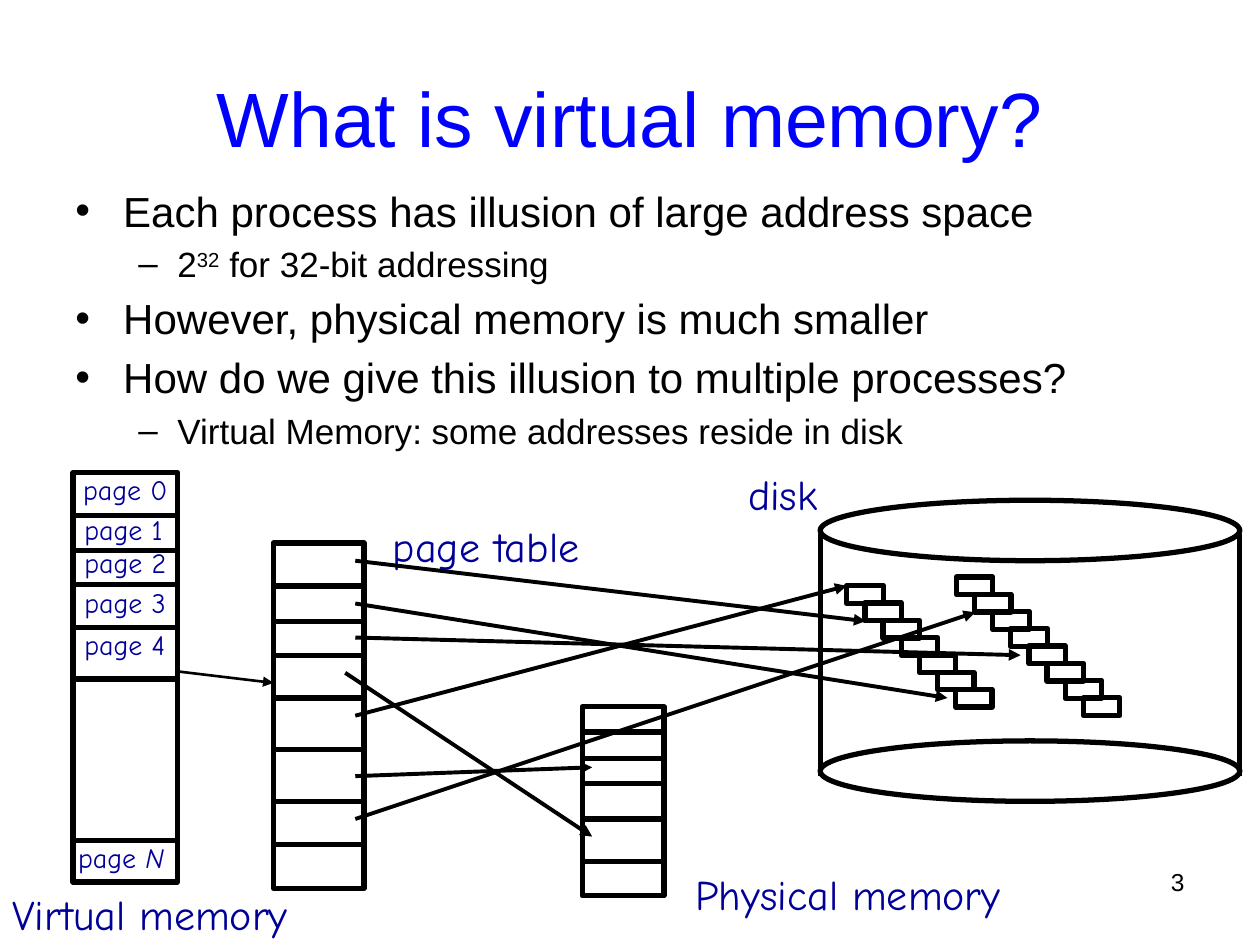
"""Build the slide explaining virtual memory, page table, physical memory and disk."""
from lxml import etree
from pptx import Presentation
from pptx import util as u
from pptx.dml.color import RGBColor
from pptx.enum import shapes, text
from pptx.oxml.ns import qn

HUE = {"ink": "000000", "title": "0000FF", "label": "000099"}

BODY = [
    (0, [("Each process has illusion of large address space", {})]),
    (1, [("2", {}), ("32", {"baseline": "30000"}), (" for 32-bit addressing", {})]),
    (0, [("However, physical memory is much smaller", {})]),
    (0, [("How do we give this illusion to multiple processes?", {})]),
    (1, [("Virtual Memory: some addresses reside in disk", {})]),
]
LEVELS = [
    {"size": 24, "bullet": "•", "left": 0.38, "hang": 0.38},
    {"size": 20, "bullet": "–", "left": 0.81, "hang": 0.31},
]
STACKS = [
    ((4.62, 5.61, 0.65, 1.5), [5.81, 6.02, 6.22, 6.5, 6.84]),
    ((2.17, 4.31, 0.72, 2.74), [4.65, 4.93, 5.2, 5.54, 5.95, 6.36, 6.7]),
    ((0.58, 3.75, 0.83, 3.25), [4.09, 4.37, 4.64, 4.98, 5.39, 6.67]),
]
DISK = {"left": 6.51, "width": 3.33, "tops": (3.97, 5.88), "cap": 0.48}
STAIRS = [(6.72, 4.65, 7), (7.59, 4.58, 8)]
BLOCK = (0.29, 0.14)
STEP = (0.144, 0.137)
LABELS = [
    ("page table", (3.02, 4.08, 1.81, 0.5)),
    ("Physical memory", (5.42, 6.84, 2.74, 0.5)),
    ("disk", (5.84, 3.67, 0.83, 0.5)),
    ("Virtual memory", (0, 7, 2.57, 0.5)),
]
PAGES = [("0", 0.66, 3.75), ("1", 0.67, 4.07), ("2", 0.67, 4.33),
         ("3", 0.67, 4.65), ("4", 0.67, 4.98), ("N", 0.62, 6.67)]
PAGE = (0.75, 0.27)
ARROWS = [
    ((2.74, 5.34), (4.7, 6.64), 2.25),
    ((2.82, 5.68), (6.72, 4.65), 2.25),
    ((2.82, 6.5), (7.74, 4.86), 2.25),
    ((2.82, 6.16), (4.7, 6.09), 2.25),
    ((2.82, 4.79), (7.52, 5.54), 2.25),
    ((2.82, 5.06), (8.1, 5.2), 2.25),
    ((2.82, 4.45), (6.87, 4.93), 2.25),
    ((1.42, 5.33), (2.17, 5.42), 1.5),
]

deck = Presentation()
deck.slide_width, deck.slide_height = u.Inches(10), u.Inches(7.5)
slide = deck.slides.add_slide(deck.slide_layouts[6])


def color(name):
    return RGBColor.from_string(HUE[name])


def fill_para(para, runs, size=24, font="Arial", hue="ink", align="LEFT",
              bullet=None, left=0, hang=0):
    para.alignment = getattr(text.PP_ALIGN, align)
    if bullet:
        props = para._p.get_or_add_pPr()
        props.set("marL", str(u.Inches(left)))
        props.set("indent", str(-u.Inches(hang)))
        space = etree.SubElement(props, qn("a:spcBef"))
        etree.SubElement(space, qn("a:spcPct"), val="20000")
        etree.SubElement(props, qn("a:buFont"), typeface="Arial")
        etree.SubElement(props, qn("a:buChar"), char=bullet)
    for words, extra in runs:
        run = para.add_run()
        run.text = words
        run.font.size, run.font.name = u.Pt(size), font
        run.font.color.rgb = color(hue)
        for key, val in extra.items():
            run.font._element.set(key, val)


def add_text(runs, at, wrap=True, inset=True, anchor="TOP", **style):
    frame = slide.shapes.add_textbox(*map(u.Inches, at)).text_frame
    frame.word_wrap = wrap
    frame.vertical_anchor = getattr(text.MSO_ANCHOR, anchor)
    if not inset:
        frame.margin_left = frame.margin_right = 0
        frame.margin_top = frame.margin_bottom = 0
    if isinstance(runs, str):
        runs = [(runs, {})]
    fill_para(frame.paragraphs[0], runs, **style)


def add_box(at, kind="RECTANGLE"):
    box = slide.shapes.add_shape(getattr(shapes.MSO_SHAPE, kind), *map(u.Inches, at))
    box.shadow.inherit = False
    box.fill.background()
    box.line.color.rgb = color("ink")
    box.line.width = u.Pt(3)


def add_line(start, end, width=3, head=False):
    line = slide.shapes.add_connector(
        shapes.MSO_CONNECTOR.STRAIGHT, *map(u.Inches, start + end))
    line.line.color.rgb = color("ink")
    line.line.width = u.Pt(width)
    if head:
        etree.SubElement(line.line._get_or_add_ln(), qn("a:tailEnd"), type="triangle")
    etree.SubElement(line._element.spPr, qn("a:effectLst"))


def add_body():
    frame = slide.shapes.add_textbox(*map(u.Inches, (0.5, 1.42, 9, 4.95))).text_frame
    frame.word_wrap = True
    for num, (level, runs) in enumerate(BODY):
        para = frame.add_paragraph() if num else frame.paragraphs[0]
        para.level = level
        fill_para(para, runs, **LEVELS[level])


def add_disk():
    left, width, cap = DISK["left"], DISK["width"], DISK["cap"]
    for top in DISK["tops"]:
        add_box((left, top, width, cap), "OVAL")
    for side in (left, left + width):
        add_line((side, 4.24), (side, 6.16))
    for x, y, count in STAIRS:
        for num in range(count):
            add_box((x + num * STEP[0], y + num * STEP[1]) + BLOCK)


def main():
    add_text("3", (7.17, 6.83, 2.33, 0.52), size=14, align="RIGHT")
    add_text("What is virtual memory?", (0.5, 0.3, 9, 1.25), anchor="MIDDLE",
             size=44, hue="title", align="CENTER")
    add_body()
    add_disk()
    for at, rows in STACKS:
        add_box(at)
        for y in rows:
            add_line((at[0], y), (at[0] + at[2], y))
    for words, at in LABELS:
        add_text(words, at, wrap=False, font="Comic Neue", hue="label")
    for mark, x, y in PAGES:
        slant = {"i": "1"} if mark == "N" else {}
        add_text([("page ", {}), (mark, slant)], (x, y) + PAGE, inset=False,
                 size=16, font="Comic Neue", hue="label")
    for start, end, width in ARROWS:
        add_line(start, end, width, head=True)
    deck.save("out.pptx")


if __name__ == "__main__":
    main()
